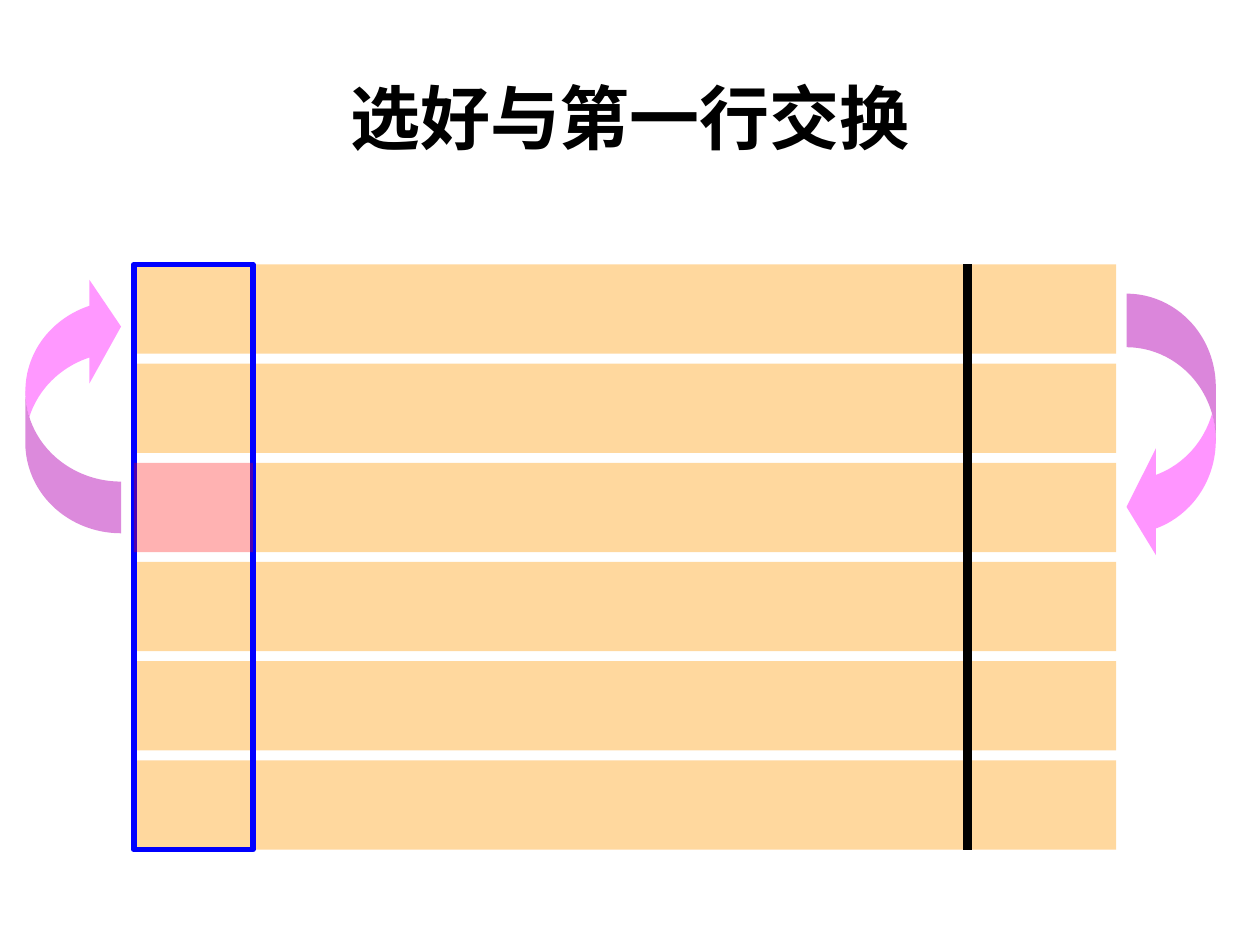
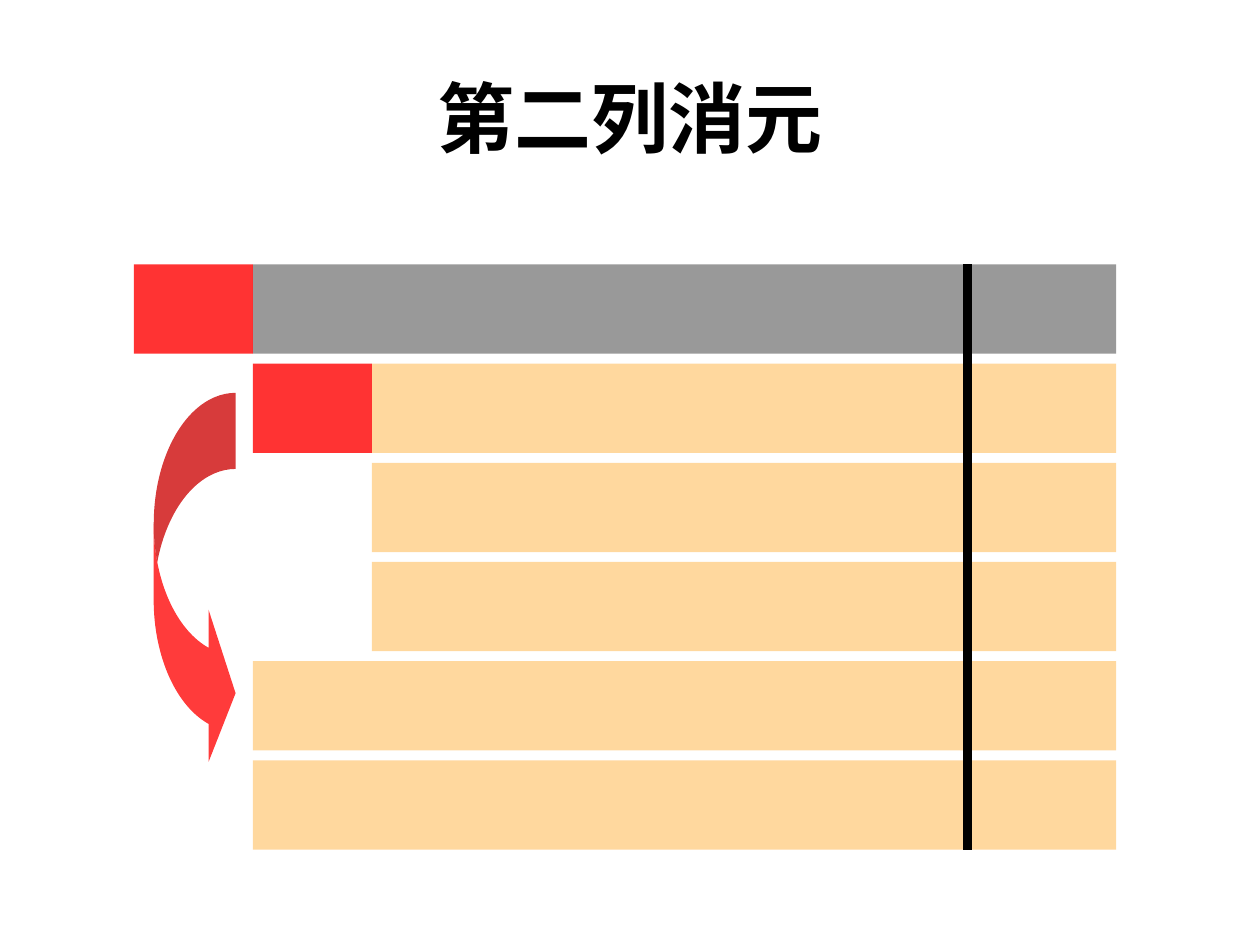
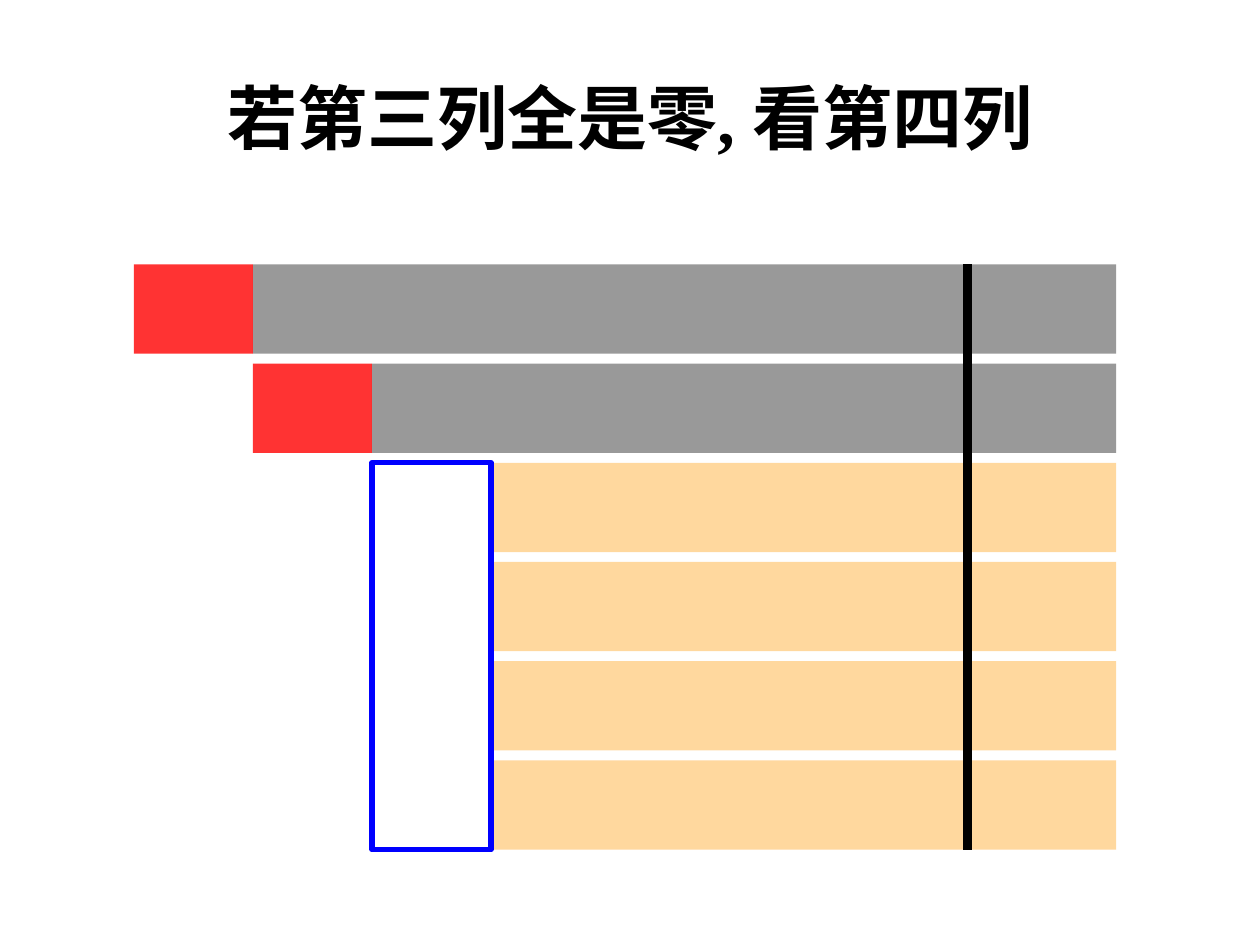
from dataclasses import dataclass
from typing import Optional

from lxml import etree
from pptx import Presentation
from pptx import util as u
from pptx.dml.color import RGBColor
from pptx.enum import shapes, text
from pptx.oxml import ns

BLACK = RGBColor(0x00, 0x00, 0x00)
BLUE = RGBColor(0x00, 0x00, 0xFF)
ORANGE = RGBColor(0xFF, 0x99, 0x00)
GRAY = RGBColor(0x80, 0x80, 0x80)
RED = RGBColor(0xFF, 0x00, 0x00)
PINK = RGBColor(0xFF, 0x66, 0xFF)

# Matrix grid, in centimetres
LEFT, TOP, RIGHT = 2.7, 5.33, 22.5
COLUMN_WIDTH, ROW_HEIGHT, ROW_PITCH = 2.4, 1.8, 2.0
ROW_COUNT = 6
BOTTOM = TOP + (ROW_COUNT - 1) * ROW_PITCH + ROW_HEIGHT
DIVIDER_X = 19.5


@dataclass(frozen=True)
class Paint:
    color: RGBColor
    opacity: int  # percent


ACTIVE = Paint(ORANGE, 38)
DONE = Paint(GRAY, 80)
PIVOT = Paint(RED, 80)
CANDIDATE = Paint(RED, 30)


@dataclass(frozen=True)
class Row:
    first_column: int
    paint: Paint = ACTIVE


@dataclass(frozen=True)
class Cell:
    row: int
    column: int
    paint: Paint = PIVOT


@dataclass(frozen=True)
class CurvedArrow:
    kind: shapes.MSO_SHAPE
    left: float
    top: float
    width: float
    height: float
    bend: float
    paint: Paint
    rotation: int = 0


@dataclass(frozen=True)
class Step:
    title: str
    font: str
    size: int
    rows: list[Row]
    cells: list[Cell]
    framed: Optional[Cell] = None  # top cell of the column being searched
    arrows: tuple[CurvedArrow, ...] = ()


STEPS = [
    Step(
        "选好与第一行交换", "Arial", 40,
        [Row(0), Row(0), Row(1), Row(0), Row(0), Row(0)],
        [Cell(2, 0, CANDIDATE)],
        framed=Cell(0, 0),
        arrows=(
            CurvedArrow(shapes.MSO_SHAPE.CURVED_LEFT_ARROW, 0.51, 5.54, 1.93, 5.21,
                        0.54, Paint(PINK, 67), rotation=180),
            CurvedArrow(shapes.MSO_SHAPE.CURVED_LEFT_ARROW, 22.71, 5.92, 1.8, 5.38,
                        0.6, Paint(PINK, 69)),
        ),
    ),
    Step(
        "第二列消元", "Times New Roman", 44,
        [Row(1, DONE), Row(2), Row(2), Row(2), Row(1), Row(1)],
        [Cell(0, 0), Cell(1, 1)],
        arrows=(
            CurvedArrow(shapes.MSO_SHAPE.CURVED_RIGHT_ARROW, 3.1, 7.92, 1.65, 7.59,
                        0.93, Paint(RED, 77)),
        ),
    ),
    Step(
        "若第三列全是零, 看第四列", "Times New Roman", 40,
        [Row(1, DONE), Row(2, DONE), Row(3), Row(3), Row(3), Row(3)],
        [Cell(0, 0), Cell(1, 1)],
        framed=Cell(2, 2),
    ),
]


def column_left(column: int) -> float:
    return LEFT + column * COLUMN_WIDTH


def row_top(row: int) -> float:
    return TOP + row * ROW_PITCH


def add_outline_free(slide, kind, left: float, top: float, width: float, height: float,
                     paint: Optional[Paint] = None):
    """Add a shape without shadow or line; without paint it is see-through."""
    shape = slide.shapes.add_shape(kind, u.Cm(left), u.Cm(top), u.Cm(width), u.Cm(height))
    shape.shadow.inherit = False
    shape.line.fill.background()
    if paint is None:
        shape.fill.background()
        return shape
    shape.fill.solid()
    shape.fill.fore_color.rgb = paint.color
    color = shape.element.spPr.find(f"{ns.qn('a:solidFill')}/{ns.qn('a:srgbClr')}")
    etree.SubElement(color, ns.qn("a:alpha"), val=str(paint.opacity * 1000))
    return shape


def add_title(slide, step: Step) -> None:
    title = slide.shapes.add_textbox(u.Cm(1.27), u.Cm(0.76), u.Cm(22.86), u.Cm(3.18))
    frame = title.text_frame
    frame.word_wrap = True
    frame.vertical_anchor = text.MSO_ANCHOR.MIDDLE
    paragraph = frame.paragraphs[0]
    paragraph.text = step.title
    paragraph.alignment = text.PP_ALIGN.CENTER
    paragraph.font.name = step.font
    paragraph.font.size = u.Pt(step.size)
    paragraph.font.bold = True
    paragraph.font.color.rgb = BLACK


def add_row(slide, index: int, row: Row) -> None:
    left = column_left(row.first_column)
    add_outline_free(slide, shapes.MSO_SHAPE.RECTANGLE, left, row_top(index),
                     RIGHT - left, ROW_HEIGHT, row.paint)


def add_cell(slide, cell: Cell) -> None:
    add_outline_free(slide, shapes.MSO_SHAPE.RECTANGLE, column_left(cell.column),
                     row_top(cell.row), COLUMN_WIDTH, ROW_HEIGHT, cell.paint)


def add_column_frame(slide, start: Cell) -> None:
    """Frame a column from the start cell to the last row."""
    top = row_top(start.row)
    frame = add_outline_free(slide, shapes.MSO_SHAPE.RECTANGLE, column_left(start.column),
                             top, COLUMN_WIDTH, BOTTOM - top)
    frame.line.color.rgb = BLUE
    frame.line.width = u.Pt(3)


def add_curved_arrow(slide, arrow: CurvedArrow) -> None:
    shape = add_outline_free(slide, arrow.kind, arrow.left, arrow.top,
                             arrow.width, arrow.height, arrow.paint)
    shape.rotation = arrow.rotation
    for index, value in enumerate((arrow.bend, 2 * arrow.bend, 0.33)):
        shape.adjustments[index] = value


def add_divider(slide) -> None:
    divider = slide.shapes.add_connector(
        shapes.MSO_CONNECTOR.STRAIGHT,
        u.Cm(DIVIDER_X), u.Cm(TOP), u.Cm(DIVIDER_X), u.Cm(BOTTOM))
    divider.line.color.rgb = BLACK
    divider.line.width = u.Pt(5.5)
    etree.SubElement(divider.element.spPr, ns.qn("a:effectLst"))


def add_step(deck, step: Step) -> None:
    slide = deck.slides.add_slide(deck.slide_layouts[6])
    add_title(slide, step)
    for index, row in enumerate(step.rows):
        add_row(slide, index, row)
    if step.framed:
        add_column_frame(slide, step.framed)
    for cell in step.cells:
        add_cell(slide, cell)
    for arrow in step.arrows:
        add_curved_arrow(slide, arrow)
    add_divider(slide)


def main() -> None:
    deck = Presentation()
    deck.slide_width, deck.slide_height = u.Cm(25.4), u.Cm(19.05)
    for step in STEPS:
        add_step(deck, step)
    deck.save("out.pptx")


if __name__ == "__main__":
    main()
